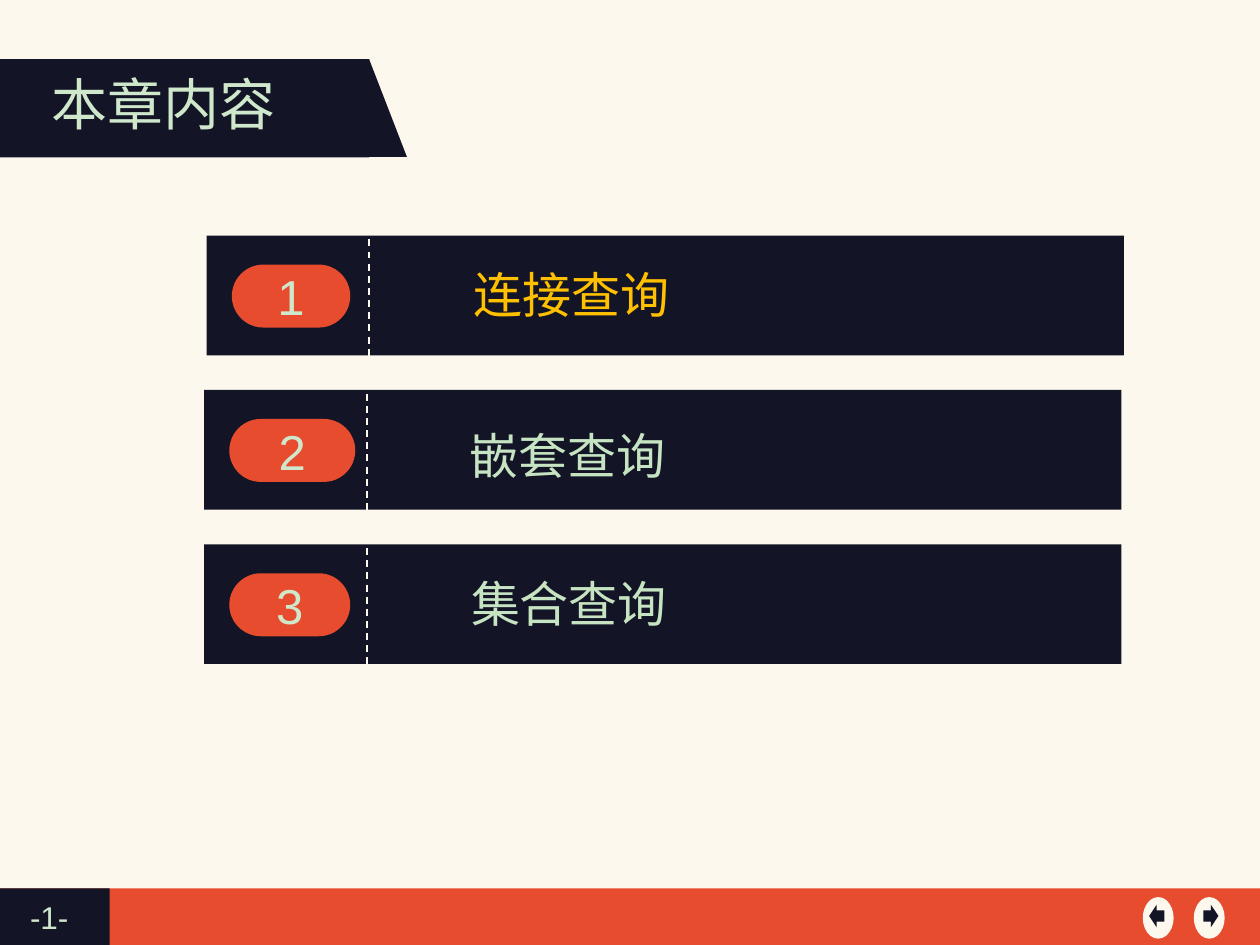
from lxml.etree import SubElement
from pptx import Presentation
from pptx.dml.color import RGBColor
from pptx.enum.dml import MSO_LINE_DASH_STYLE as Dash
from pptx.enum.shapes import MSO_CONNECTOR as Link, MSO_SHAPE as Kind
from pptx.enum.text import MSO_ANCHOR as Anchor, MSO_AUTO_SIZE as Fit, PP_ALIGN as Align
from pptx.oxml.ns import qn
from pptx.util import Inches, Pt

COLS, ROWS = 100, 75
CELL = Inches(10) // COLS
HEX = {"page": "CFE8CC", "cream": "FCF8ED", "red": "E74C2E", "navy": "131426",
       "mint": "CFE8CC", "leaf": "C6E4C2", "gold": "FFC000"}
LATIN, HAN = "Arial", "Noto Sans CJK SC"

# number, label, left, pill width, label left and top within the bar, colour
TOPICS = [("1", "连接查询", 16.4, 9.4, 20.2, 1.8, "gold"),
          ("2", "嵌套查询", 16.2, 10, 20.1, 2.3, "leaf"),
          ("3", "集合查询", 16.2, 9.6, 20.2, 1.8, "leaf")]
FIRST, STEP = 18.7, 12.25


def grid(*cells):
    return [round(n * CELL) for n in cells]


def tint(name):
    return RGBColor.from_string(HEX[name])


def block(shapes, kind, cells, color):
    shape = shapes.add_shape(kind, *grid(*cells))
    shape.shadow.inherit = False
    shape.fill.solid()
    shape.fill.fore_color.rgb = tint(color)
    shape.line.fill.background()
    return shape


def write(shape, text, size, face, color, align=Align.LEFT):
    frame = shape.text_frame
    frame.text = text
    line = frame.paragraphs[0]
    line.alignment = align
    for run in line.runs:
        run.font.size = Pt(size)
        run.font.name = face
        run.font.color.rgb = tint(color)
        SubElement(run.font._element, qn("a:ea")).set("typeface", face)


def label(shapes, cells, text, size, face, color, align=Align.LEFT, wrap=True):
    box = shapes.add_textbox(*grid(*cells))
    write(box, text, size, face, color, align)
    box.text_frame.word_wrap = wrap
    box.text_frame.auto_size = Fit.SHAPE_TO_FIT_TEXT


def dashes(shapes, x, top, end):
    line = shapes.add_connector(Link.STRAIGHT, *grid(x, top, x, end))
    line.line.color.rgb = tint("cream")
    line.line.width = Pt(1)
    line.line.dash_style = Dash.DASH
    SubElement(line._element.spPr, qn("a:effectLst"))


def banner(shapes):
    group = shapes.add_group_shape().shapes
    block(group, Kind.RECTANGLE, (0, 4.7, 29.3, 7.8), "navy")
    block(group, Kind.RIGHT_TRIANGLE, (29.3, 4.7, 3, 7.75), "navy")
    label(group, (3.1, 5, 19.8, 6.4), "本章内容", 32, HAN, "mint", Align.CENTER, False)


def topic(shapes, top, num, text, left, wide, dx, dy, color):
    block(shapes, Kind.RECTANGLE, (left, top, 72.8, 9.5), "navy")
    dashes(shapes, left + 12.9, top + 0.3, top + 9.9)
    pill = block(shapes, Kind.ROUNDED_RECTANGLE, (left + 2, top + 2.3, wide, 5), "red")
    pill.adjustments[0] = 0.5
    pill.text_frame.vertical_anchor = Anchor.MIDDLE
    write(pill, num, 28, LATIN, "mint", Align.CENTER)
    label(shapes, (left + dx, top + dy, 49.9, 5.7), text, 28, HAN, color)


def button(shapes, kind, left, inset):
    group = shapes.add_group_shape().shapes
    block(group, Kind.OVAL, (left, 71.2, 2.45, 3.3), "cream")
    block(group, kind, (left + inset, 71.8, 1.2, 1.8), "navy")


def footer(shapes):
    block(shapes, Kind.RECTANGLE, (0, 70.5, COLS, 4.6), "red")
    block(shapes, Kind.RECTANGLE, (0, 70.5, 8.7, 4.6), "navy")
    label(shapes, (1.4, 70.8, 6.4, 4), "-1-", 18, LATIN, "mint")
    button(shapes, Kind.LEFT_ARROW, 90.7, 0.5)
    button(shapes, Kind.RIGHT_ARROW, 94.75, 0.75)


def main():
    deck = Presentation()
    deck.slide_width, deck.slide_height = grid(COLS, ROWS)
    slide = deck.slides.add_slide(deck.slide_layouts[6])
    slide.background.fill.solid()
    slide.background.fill.fore_color.rgb = tint("page")
    shapes = slide.shapes
    block(shapes, Kind.RECTANGLE, (0, 0, COLS, ROWS), "cream")
    footer(shapes)
    banner(shapes)
    for i, item in enumerate(TOPICS):
        topic(shapes, FIRST + i * STEP, *item)
    deck.save("out.pptx")


if __name__ == "__main__":
    main()
